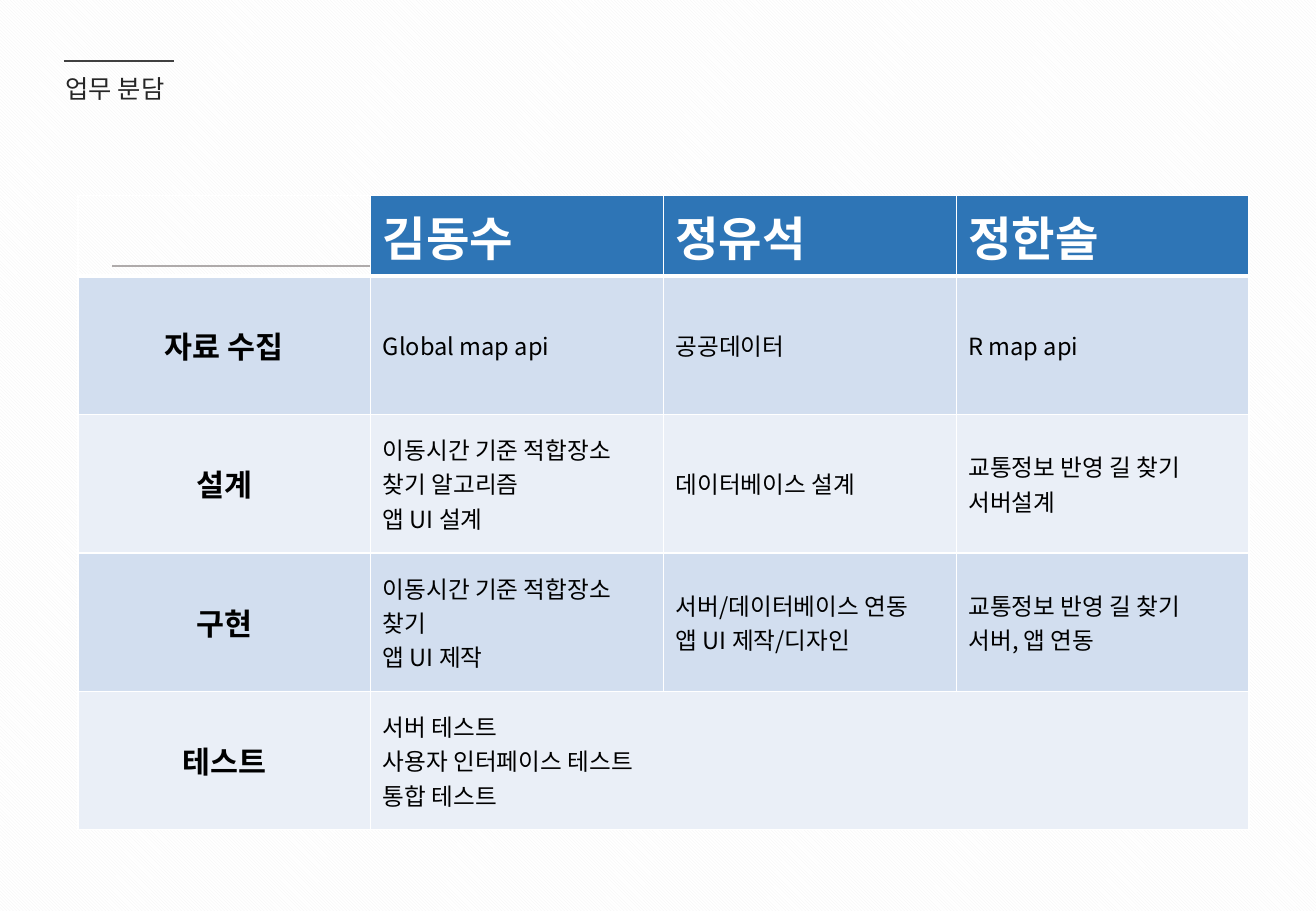
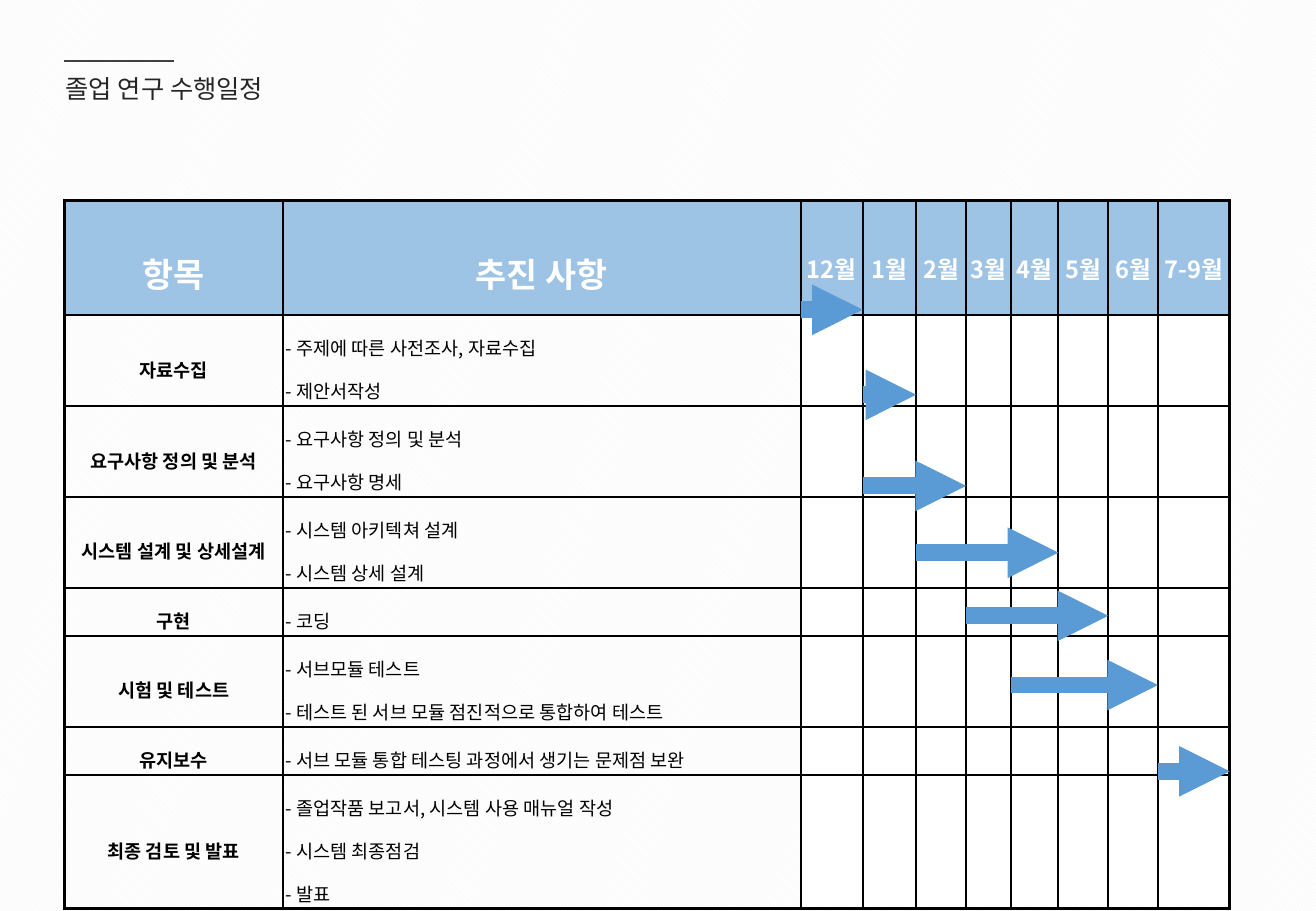
from dataclasses import dataclass
from itertools import accumulate

from lxml.etree import SubElement
from pptx import Presentation
from pptx.dml.color import RGBColor
from pptx.enum.dml import MSO_PATTERN
from pptx.enum.shapes import MSO_CONNECTOR
from pptx.enum.text import MSO_ANCHOR, MSO_AUTO_SIZE, PP_ALIGN
from pptx.oxml.ns import qn
from pptx.util import Inches, Pt

LEFT, CENTER = PP_ALIGN.LEFT, PP_ALIGN.CENTER
MIDDLE = MSO_ANCHOR.MIDDLE
STRAIGHT = MSO_CONNECTOR.STRAIGHT
HATCH = MSO_PATTERN.DARK_DOWNWARD_DIAGONAL
NO_FIT = MSO_AUTO_SIZE.NONE


@dataclass(frozen=True)
class Theme:
    font: str = "Noto Sans CJK KR"
    white: str = "FFFFFF"
    black: str = "000000"
    hatch: str = "F2F2F2"
    title: str = "262626"
    rule: str = "404040"
    grey: str = "AFABAB"
    head: str = "2E75B6"
    bands: tuple = ("D2DEEF", "EAEFF7")
    blue: str = "5B9BD5"
    title_size: float = 15
    name_size: float = 28
    task_size: float = 18
    duty_size: float = 14
    head_size: float = 20
    month_size: float = 14
    item_size: float = 11


T = Theme()

PEOPLE = ["김동수", "정유석", "정한솔"]
DUTIES = [
    ("자료 수집", "Global map api", "공공데이터", "R map api"),
    ("설계", "이동시간 기준 적합장소 찾기 알고리즘\n앱 UI 설계",
     "데이터베이스 설계", "교통정보 반영 길 찾기\n서버설계"),
    ("구현", "이동시간 기준 적합장소 찾기\n앱 UI 제작",
     "서버/데이터베이스 연동\n앱 UI 제작/디자인",
     "교통정보 반영 길 찾기\n서버, 앱 연동"),
    ("테스트", "서버 테스트\n사용자 인터페이스 테스트\n통합 테스트"),
]

MONTHS = ["12월", "1월", "2월", "3월", "4월", "5월", "6월", "7-9월"]
STEPS = [
    ("자료수집", "- 주제에 따른 사전조사, 자료수집\n- 제안서작성"),
    ("요구사항 정의 및 분석", "- 요구사항 정의 및 분석\n- 요구사항 명세"),
    ("시스템 설계 및 상세설계", "- 시스템 아키텍쳐 설계\n- 시스템 상세 설계"),
    ("구현", "- 코딩"),
    ("시험 및 테스트",
     "- 서브모듈 테스트\n- 테스트 된 서브 모듈 점진적으로 통합하여 테스트"),
    ("유지보수", "- 서브 모듈 통합 테스팅 과정에서 생기는 문제점 보완"),
    ("최종 검토 및 발표",
     "- 졸업작품 보고서, 시스템 사용 매뉴얼 작성\n- 시스템 최종점검\n- 발표"),
]
# first month, last month, height on the slide
SPANS = [(0, 0, 2.55), (1, 1, 3.25), (1, 2, 4), (2, 4, 4.55),
         (3, 5, 5.07), (4, 6, 5.64), (7, 7, 6.35)]


def rgb(code):
    return RGBColor.from_string(code)


def style(frame, size, color, bold=False, align=LEFT, space=None):
    for para in frame.paragraphs:
        para.alignment = align
        if space:
            para.line_spacing = space
        for run in para.runs:
            font = run.font
            font.size, font.bold, font.name = Pt(size), bold, T.font
            font.color.rgb = rgb(color)
            SubElement(font._element, qn("a:ea"), typeface=T.font)


def draw_line(slide, start, end, color, width, arrow=False):
    line = slide.shapes.add_connector(
        STRAIGHT, *(Inches(v) for v in (*start, *end)))
    line.line.color.rgb = rgb(color)
    line.line.width = Pt(width)
    props = line._element.spPr
    if arrow:
        SubElement(props.find(qn("a:ln")), qn("a:tailEnd"), type="triangle")
    SubElement(props, qn("a:effectLst"))


def add_grid(slide, left, top, cols, rows):
    table = slide.shapes.add_table(
        len(rows), len(cols), Inches(left), Inches(top),
        Inches(sum(cols)), Inches(sum(rows))).table
    table.first_row = table.horz_banding = False
    for col, width in zip(table.columns, cols):
        col.width = Inches(width)
    for row, height in zip(table.rows, rows):
        row.height = Inches(height)
    return table


def paint(cell, color, edges, fill=None, alpha=None):
    """Set borders, widths given as left, right, top, bottom, then the fill."""
    props = cell._tc.get_or_add_tcPr()
    for side, width in zip("LRTB", edges):
        line = SubElement(props, qn(f"a:ln{side}"), w=str(int(Pt(width))))
        SubElement(SubElement(line, qn("a:solidFill")),
                   qn("a:srgbClr"), val=color)
    if not fill:
        cell.fill.background()
        return
    cell.fill.solid()
    cell.fill.fore_color.rgb = rgb(fill)
    if alpha:
        tone = props.find(qn("a:solidFill")).find(qn("a:srgbClr"))
        SubElement(tone, qn("a:alpha"), val=str(alpha * 1000))


def write(cell, text, *args, **kwargs):
    cell.vertical_anchor = MIDDLE
    cell.text_frame.text = text
    style(cell.text_frame, *args, **kwargs)


def add_slide(prs, text):
    slide = prs.slides.add_slide(prs.slide_layouts[5])
    title = slide.shapes.title
    title.left, title.top = Inches(0.44), Inches(0.55)
    title.width, title.height = Inches(2.94), Inches(0.35)
    frame = title.text_frame
    frame.text = text
    frame.auto_size, frame.vertical_anchor = NO_FIT, MIDDLE
    style(frame, T.title_size, T.title)
    draw_line(slide, (0.53, 0.5), (1.43, 0.5), T.rule, 1.25)
    return slide


def duty_table(slide, left, top):
    draw_line(slide, (left + 0.28, top + 0.58),
              (left + 9.48, top + 0.58), T.grey, 0.75)
    table = add_grid(slide, left, top, [2.41] * 4, [0.55] + [1.14] * 4)
    for c, name in enumerate([""] + PEOPLE):
        cell = table.cell(0, c)
        paint(cell, T.white, (1, 1, 1, 3), T.head if name else None)
        write(cell, name, T.name_size, T.white, bold=True)
    for r, duties in enumerate(DUTIES, 1):
        for c in range(4):
            paint(table.cell(r, c), T.white, (1, 1, 3 if r == 1 else 1, 1),
                  T.bands[(r - 1) % 2])
        write(table.cell(r, 0), duties[0], T.task_size, T.black,
              bold=True, align=CENTER)
        for c, duty in enumerate(duties[1:], 1):
            write(table.cell(r, c), duty, T.duty_size, T.black)
    table.cell(4, 1).merge(table.cell(4, 3))


def plan_table(slide, left, top):
    cols = [1.8, 4.26, 0.51, 0.44, 0.41, 0.37, 0.39, 0.41, 0.41, 0.59]
    rows = [0.55, 0.72, 0.72, 0.72, 0.38, 0.72, 0.38, 1.06]
    table = add_grid(slide, left, top, cols, rows)
    thin, thick = 1.41, 1.98
    blank = [""] * len(MONTHS)
    lines = [["항목", "추진 사항", *MONTHS]] + [[*s, *blank] for s in STEPS]
    for r, line in enumerate(lines):
        for c, text in enumerate(line):
            cell = table.cell(r, c)
            cell.margin_left = cell.margin_right = Inches(0.02)
            cell.margin_top = cell.margin_bottom = Inches(0.02)
            outer = (c == 0, c == len(cols) - 1, r == 0, r == len(rows) - 1)
            edges = [thick if out else thin for out in outer]
            if r == 0:
                paint(cell, T.black, edges, T.blue, alpha=59)
                write(cell, text, T.head_size if c < 2 else T.month_size,
                      T.white, bold=True, align=CENTER, space=1.6)
            elif text:
                paint(cell, T.black, edges)
                write(cell, text, T.item_size, T.black, bold=c == 0,
                      align=LEFT if c else CENTER, space=1.6)
            else:
                paint(cell, T.black, edges, T.white)
                SubElement(cell.text_frame.paragraphs[0]._p,
                           qn("a:endParaRPr"), sz=str(T.item_size * 100))
    stops = list(accumulate(cols, initial=left))[2:]
    for first, last, y in SPANS:
        draw_line(slide, (stops[first], y), (stops[last + 1], y),
                  T.blue, 10, arrow=True)


def main():
    prs = Presentation()
    prs.slide_width, prs.slide_height = Inches(10.83), Inches(7.5)
    fill = prs.slide_master.background.fill
    fill.patterned()
    fill.pattern = HATCH
    fill.fore_color.rgb, fill.back_color.rgb = rgb(T.hatch), rgb(T.white)
    duty_table(add_slide(prs, "업무 분담"), 0.64, 1.61)
    plan_table(add_slide(prs, "졸업 연구 수행일정"), 0.53, 1.65)
    prs.save("out.pptx")


if __name__ == "__main__":
    main()
